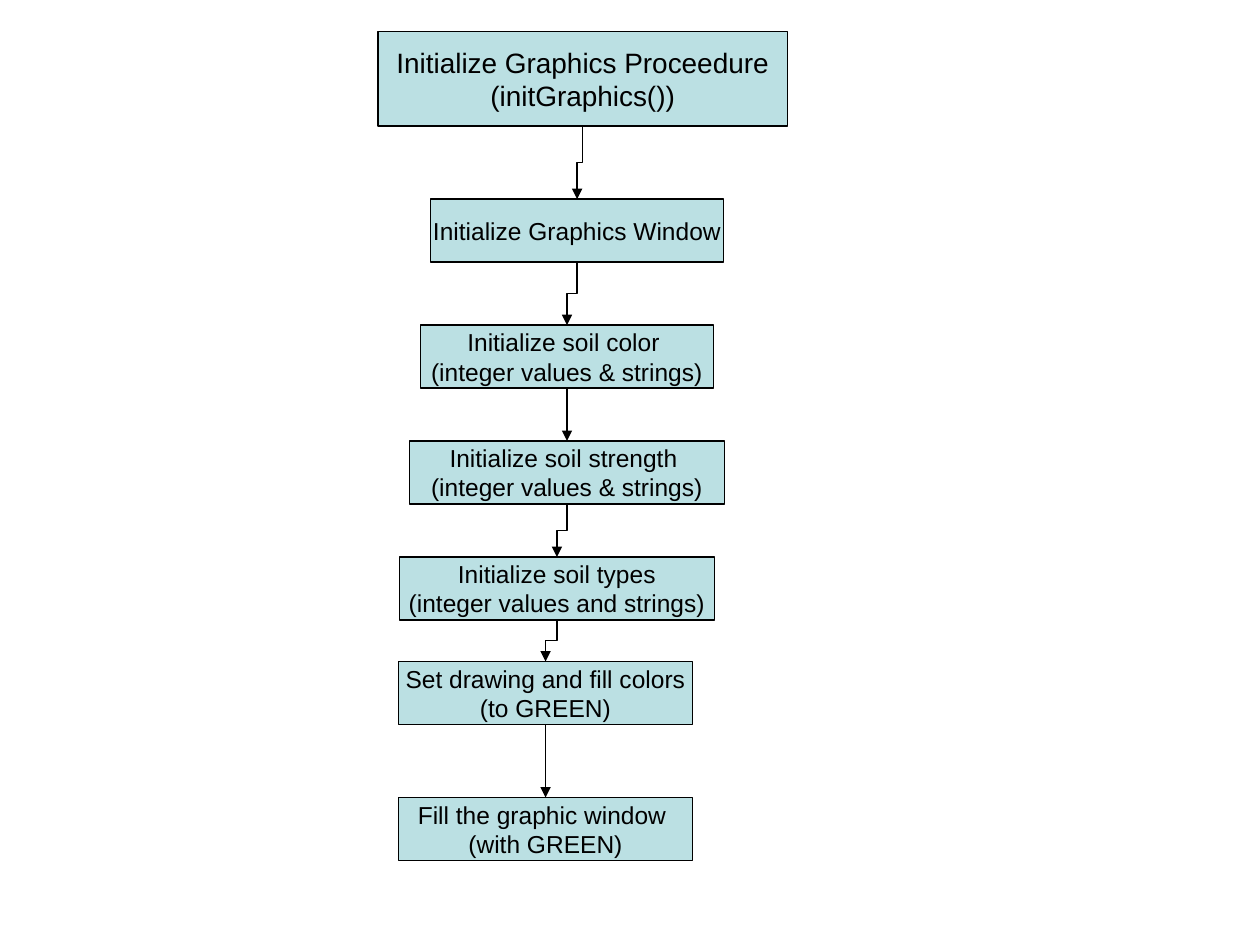
from dataclasses import dataclass
from itertools import pairwise

from lxml import etree
from pptx import Presentation
from pptx.dml.color import RGBColor
from pptx.enum import shapes, text
from pptx.oxml import ns
from pptx.util import Inches, Pt


@dataclass(frozen=True)
class Theme:
    font: str = "Arial"
    ink: RGBColor = RGBColor(0, 0, 0)
    fill: RGBColor = RGBColor(0xBB, 0xE0, 0xE3)
    line: float = 0.75
    head: int = 16
    body: int = 14


@dataclass(frozen=True)
class Step:
    mid: float  # horizontal centre
    top: float
    width: float
    label: str
    height: float = 0.5
    size: int = Theme.body

    @property
    def base(self) -> float:
        return self.top + self.height


THEME = Theme()

# Flow from top to bottom
STEPS = [
    Step(4.625, 0.25, 3.25, "Initialize Graphics Proceedure\n(initGraphics())", 0.75, THEME.head),
    Step(4.58, 1.58, 2.33, "Initialize Graphics Window"),
    Step(4.5, 2.58, 2.33, "Initialize soil color \n(integer values & strings)"),
    Step(4.5, 3.5, 2.5, "Initialize soil strength \n(integer values & strings)"),
    Step(4.42, 4.42, 2.5, "Initialize soil types\n(integer values and strings)"),
    Step(4.33, 5.25, 2.33, "Set drawing and fill colors\n(to GREEN)"),
    Step(4.33, 6.33, 2.33, "Fill the graphic window \n(with GREEN)"),
]


def draw_step(slide, step: Step) -> None:
    box = slide.shapes.add_shape(
        shapes.MSO_SHAPE.FLOWCHART_PROCESS,
        Inches(step.mid - step.width / 2), Inches(step.top),
        Inches(step.width), Inches(step.height))
    box.shadow.inherit = False
    box.fill.solid()
    box.fill.fore_color.rgb = THEME.fill
    box.line.color.rgb = THEME.ink
    box.line.width = Pt(THEME.line)
    frame = box.text_frame
    frame.text = step.label
    frame.word_wrap = False
    frame.vertical_anchor = text.MSO_ANCHOR.MIDDLE
    for para in frame.paragraphs:
        para.alignment = text.PP_ALIGN.CENTER
        for run in para.runs:
            run.font.name = THEME.font
            run.font.size = Pt(step.size)
            run.font.color.rgb = THEME.ink


def draw_arrow(slide, start: Step, end: Step) -> None:
    drop, shift = end.top - start.base, start.mid - end.mid
    if shift:
        # An elbow lies on its side, then turns a quarter about its centre
        kind = shapes.MSO_CONNECTOR.ELBOW
        left = (start.mid + end.mid - drop) / 2
        top = (start.base + end.top - shift) / 2
        ends = left, top, left + drop, top + shift
    else:
        kind = shapes.MSO_CONNECTOR.STRAIGHT
        ends = start.mid, start.base, end.mid, end.top
    link = slide.shapes.add_connector(kind, *map(Inches, ends))
    if shift:
        link.rotation = 90
    link.line.color.rgb = THEME.ink
    link.line.width = Pt(THEME.line)
    # Arrowhead, and no shadow
    etree.SubElement(link.line._get_or_add_ln(), ns.qn("a:tailEnd"), type="triangle")
    etree.SubElement(link._element.spPr, ns.qn("a:effectLst"))


def main() -> None:
    deck = Presentation()
    deck.slide_width, deck.slide_height = Inches(10), Inches(7.5)
    slide = deck.slides.add_slide(deck.slide_layouts[6])
    for step in STEPS:
        draw_step(slide, step)
    for start, end in pairwise(STEPS):
        draw_arrow(slide, start, end)
    deck.save("out.pptx")


if __name__ == "__main__":
    main()
